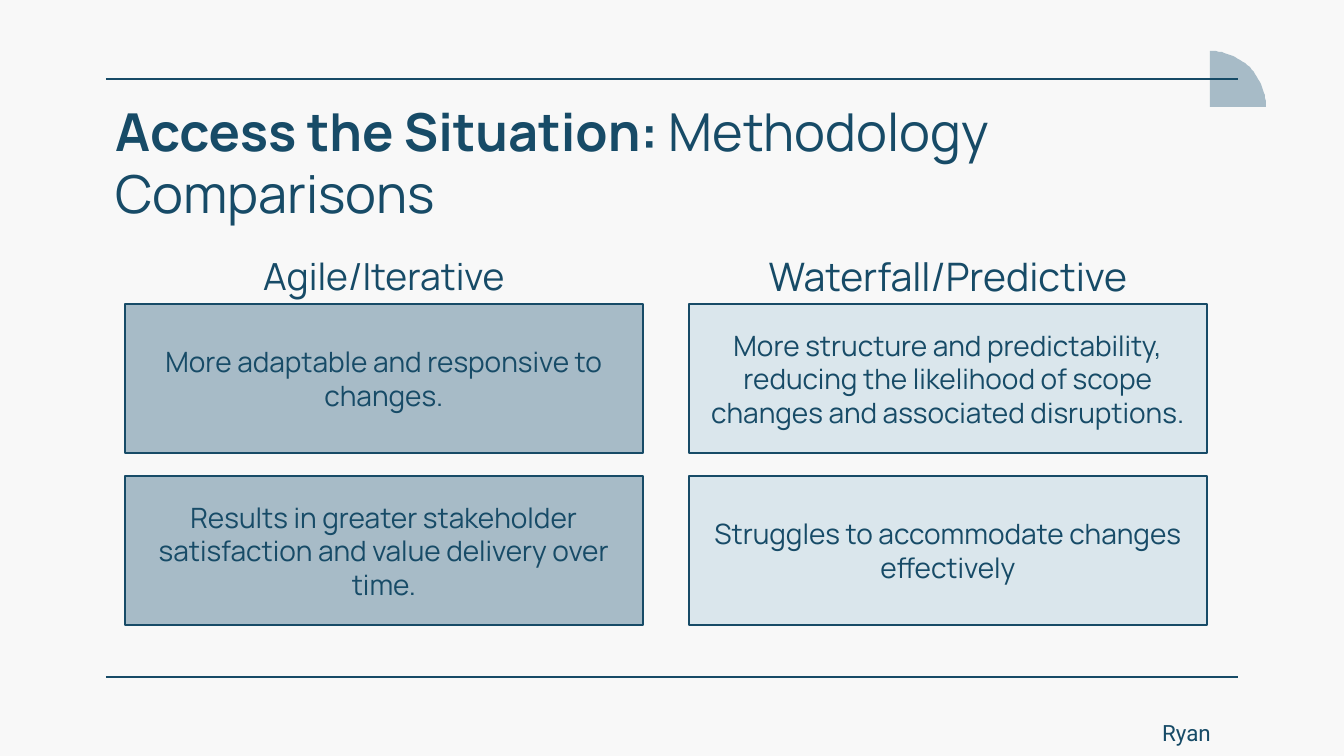
import math

from lxml import etree
from pptx import Presentation
from pptx import util as u
from pptx.dml.color import RGBColor
from pptx.enum import shapes, text
from pptx.oxml.ns import qn

PX = 914400 / 134.4
COLOURS = {"paper": "F8F8F8", "navy": "174B67", "steel": "A7BBC7", "mist": "DAE6EC"}


def px(*lengths):
    return [u.Emu(round(length * PX)) for length in lengths]


class SlideBuilder:
    def __init__(self, slide):
        self.slide = slide
        self.font = "Manrope"
        self.inset = px(13)[0]
        fill = slide.background.fill
        fill.solid()
        fill.fore_color.rgb = self.colour("paper")

    def colour(self, name):
        return RGBColor.from_string(COLOURS[name])

    def paint(self, shape, fill):
        shape.shadow.inherit = False
        shape.fill.solid()
        shape.fill.fore_color.rgb = self.colour(fill)

    def quarter_disc(self, left, bottom, radius, fill, steps=30):
        angles = [math.pi / 2 * (1 - step / steps) for step in range(steps + 1)]
        points = [
            (left + radius * math.cos(angle), bottom - radius * math.sin(angle))
            for angle in angles
        ]
        builder = self.slide.shapes.build_freeform(left, bottom, scale=PX)
        builder.add_line_segments(points, close=True)
        disc = builder.convert_to_shape()
        self.paint(disc, fill)
        disc.line.fill.background()

    def rule(self, left, right, y):
        line = self.slide.shapes.add_connector(
            shapes.MSO_CONNECTOR.STRAIGHT, *px(left, y, right, y)
        )
        line.line.color.rgb = self.colour("navy")
        line.line.width = u.Pt(0.75)
        etree.SubElement(line._element.spPr, qn("a:effectLst"))

    def set_text(self, shape, spans, size, align, anchor, font=None):
        frame = shape.text_frame
        frame.word_wrap = True
        frame.vertical_anchor = anchor
        frame.margin_left = frame.margin_right = self.inset
        frame.margin_top = frame.margin_bottom = self.inset
        para = frame.paragraphs[0]
        para.alignment = align
        para.font.name = font or self.font
        para.font.size = u.Pt(size)
        para.font.color.rgb = self.colour("navy")
        for words, bold in spans:
            span = para.add_run()
            span.text = words
            if bold:
                span.font.bold = True

    def label(self, place, spans, size, align=text.PP_ALIGN.LEFT,
              anchor=text.MSO_ANCHOR.TOP, font=None):
        box = self.slide.shapes.add_textbox(*px(*place))
        self.set_text(box, spans, size, align, anchor, font)

    def heading(self, place, words, size):
        self.label(place, [(words, False)], size,
                   text.PP_ALIGN.CENTER, text.MSO_ANCHOR.MIDDLE)

    def card(self, place, words, fill):
        card = self.slide.shapes.add_shape(shapes.MSO_SHAPE.RECTANGLE, *px(*place))
        self.paint(card, fill)
        card.line.color.rgb = self.colour("navy")
        card.line.width = u.Pt(0.75)
        self.set_text(card, [(words, False)], 15,
                      text.PP_ALIGN.CENTER, text.MSO_ANCHOR.MIDDLE)


def main():
    deck = Presentation()
    deck.slide_width, deck.slide_height = px(1344, 756)
    page = SlideBuilder(deck.slides.add_slide(deck.slide_layouts[6]))

    page.quarter_disc(1210, 107, 56, "steel")
    for y in (79, 677):
        page.rule(106, 1238, y)
    page.label((102, 86, 1105, 98),
               [("Access the Situation: ", True), ("Methodology Comparisons", False)], 28)

    columns = [
        ("Agile/Iterative", 20, 362, "steel", [
            "More adaptable and responsive to changes.",
            "Results in greater stakeholder satisfaction and value delivery over time.",
        ]),
        ("Waterfall/Predictive", 21, 478, "mist", [
            "More structure and predictability, reducing the likelihood of scope "
            "changes and associated disruptions.",
            "Struggles to accommodate changes effectively",
        ]),
    ]
    card_width, card_height = 518, 149
    for column, (name, size, name_width, fill, points) in enumerate(columns):
        left = 125 + 564 * column
        for row, point in enumerate(points):
            page.card((left, 304 + 172 * row, card_width, card_height), point, fill)
        name_left = left + (card_width - name_width) // 2
        page.heading((name_left, 251, name_width, 50), name, size)

    page.label((1149, 706, 126, 35), [("Ryan", False)], 12, font="Roboto")
    deck.save("out.pptx")


if __name__ == "__main__":
    main()
